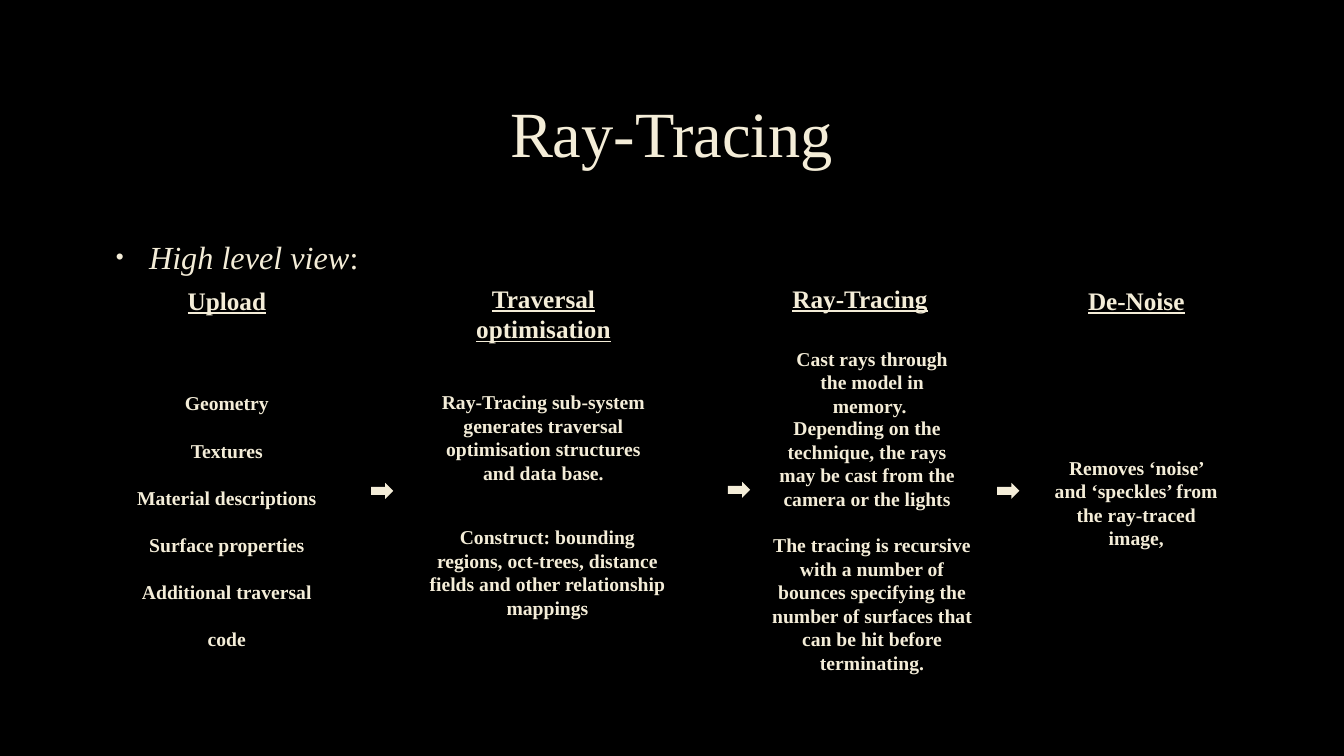
from lxml.etree import SubElement
from pptx import Presentation
from pptx.dml.color import RGBColor
from pptx.enum.shapes import MSO_SHAPE
from pptx.enum.text import MSO_ANCHOR, MSO_AUTO_SIZE, PP_ALIGN
from pptx.oxml.ns import qn
from pptx.util import Inches, Pt

COLORS = {"back": "000000", "ink": "F4EDD8"}
FONT = "Times New Roman"
WIDE, HIGH = 13.33, 7.5
LEFT, SPAN = 1, 11.32  # shared by title and bullet

# Each step: middle, heading top, heading width, heading, notes.
# Each note: shift from the middle, top, width, height, line spacing, lines.
STEPS = [
    (2.25, 2.78, 1.75, "Upload", [
        (0, 3.6, 2.21, 2.69, 2, ["Geometry", "Textures", "Material descriptions",
                                 "Surface properties", "Additional traversal code"]),
    ]),
    (5.39, 2.76, 2.55, "Traversal optimisation", [
        (0, 3.82, 2.39, 1.04, 1, ["Ray-Tracing sub-system generates traversal "
                                  "optimisation structures and data base."]),
        (0.04, 5.16, 2.55, 0.81, 1, ["Construct: bounding regions, oct-trees, distance "
                                     "fields and other relationship mappings"]),
    ]),
    (8.53, 2.76, 1.75, "Ray-Tracing", [
        (0.12, 3.39, 1.89, 0.57, 1, ["Cast rays through the model in memory. "]),
        (0.07, 4.08, 1.99, 1.04, 1, ["Depending on the technique, the rays may be "
                                     "cast from the camera or the lights"]),
        (0.12, 5.24, 2.28, 1.28, 1, ["The tracing is recursive with a number of bounces "
                                     "specifying the number of surfaces that can be hit "
                                     "before terminating."]),
    ]),
    (11.27, 2.78, 1.75, "De-Noise", [
        (0, 4.47, 1.83, 0.81, 1, ["Removes ‘noise’ and ‘speckles’ from the "
                                  "ray-traced image,"]),
    ]),
]
ARROWS = [(3.68, 4.79), (7.22, 4.78), (9.89, 4.79)]


def color(name):
    return RGBColor.from_string(COLORS[name])


def write(para, text, size=14, bold=False, italic=False, line=False,
          align=PP_ALIGN.CENTER, gap=1.0):
    run = para.add_run()
    run.text = text
    font = run.font
    font.name, font.size = FONT, Pt(size)
    font.bold, font.italic, font.underline = bold, italic, line
    font.color.rgb = color("ink")
    para.alignment, para.line_spacing = align, gap


def add_box(slide, left, top, width, height):
    box = slide.shapes.add_textbox(*map(Inches, (left, top, width, height)))
    box.text_frame.word_wrap = True
    return box.text_frame


def add_title(slide, text):
    title = slide.shapes.title
    title.left, title.top, title.width, title.height = map(
        Inches, (LEFT, 0.67, SPAN, 1.38))
    frame = title.text_frame
    frame.auto_size = MSO_AUTO_SIZE.NONE
    frame.vertical_anchor = MSO_ANCHOR.MIDDLE
    write(frame.paragraphs[0], text, size=46, gap=0.9)


def add_bullet(slide, lead, tail):
    para = add_box(slide, LEFT, 2.27, SPAN, 4.06).paragraphs[0]
    write(para, lead, size=23, italic=True, align=PP_ALIGN.LEFT, gap=1.1)
    write(para, tail, size=23, align=PP_ALIGN.LEFT, gap=1.1)
    para.space_before, para.space_after = Pt(4.6), Pt(6)
    props = para._p.get_or_add_pPr()
    props.set("marL", str(Inches(0.38)))
    props.set("indent", str(Inches(-0.33)))
    tint = SubElement(props, qn("a:buClr"))
    SubElement(tint, qn("a:srgbClr"), val=COLORS["ink"])
    SubElement(props, qn("a:buSzPct"), val="70000")
    SubElement(props, qn("a:buFont"), typeface="Arial")
    SubElement(props, qn("a:buChar"), char="•")


def add_step(slide, mid, top, width, head, notes):
    frame = add_box(slide, mid - width / 2, top, width, 0.4)
    write(frame.paragraphs[0], head, size=18, bold=True, line=True)
    for shift, top, width, height, gap, lines in notes:
        frame = add_box(slide, mid + shift - width / 2, top, width, height)
        for i, text in enumerate(lines):
            para = frame.add_paragraph() if i else frame.paragraphs[0]
            write(para, text, bold=True, gap=float(gap))


def add_arrow(slide, left, top):
    arrow = slide.shapes.add_shape(
        MSO_SHAPE.RIGHT_ARROW, *map(Inches, (left, top, 0.22, 0.16)))
    arrow.shadow.inherit = False
    arrow.fill.solid()
    arrow.fill.fore_color.rgb = color("ink")
    arrow.line.fill.background()


def main():
    deck = Presentation()
    deck.slide_width, deck.slide_height = Inches(WIDE), Inches(HIGH)
    slide = deck.slides.add_slide(deck.slide_layouts[5])
    fill = slide.background.fill
    fill.solid()
    fill.fore_color.rgb = color("back")
    add_title(slide, "Ray-Tracing")
    add_bullet(slide, "High level view", ":")
    for step in STEPS:
        add_step(slide, *step)
    for spot in ARROWS:
        add_arrow(slide, *spot)
    deck.save("out.pptx")


if __name__ == "__main__":
    main()
